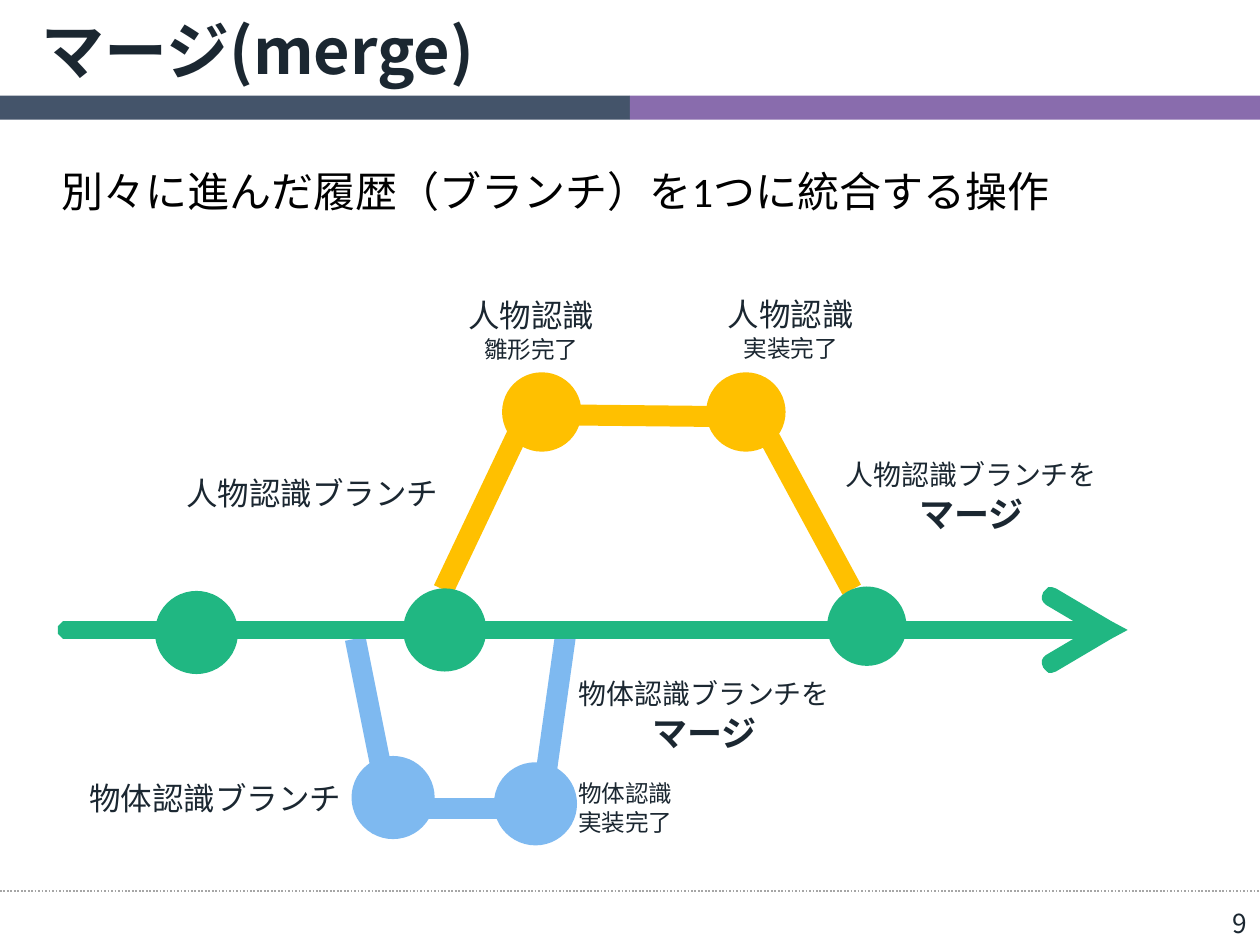
from pptx import Presentation, util as u
from pptx.dml.color import RGBColor
from pptx.enum import dml, shapes, text
from pptx.oxml.ns import qn
from lxml import etree

INK = RGBColor(0x1B, 0x27, 0x31)
BLACK = RGBColor(0, 0, 0)
SLATE = RGBColor(0x44, 0x54, 0x6A)
PURPLE = RGBColor(0x89, 0x6C, 0xAD)
GRAY = RGBColor(0xA6, 0xA6, 0xA6)
GOLD = RGBColor(0xFF, 0xC0, 0x00)
BLUE = RGBColor(0x7E, 0xB9, 0xF0)
GREEN = RGBColor(0x20, 0xB7, 0x82)
FONT = "Noto Sans CJK JP"
WIDE, HIGH = 10, 7.5
LEFT, MID, RIGHT = text.PP_ALIGN.LEFT, text.PP_ALIGN.CENTER, text.PP_ALIGN.RIGHT

TITLE = "マージ(merge)"
LEAD = "別々に進んだ履歴（ブランチ）を1つに統合する操作"
BARS = [SLATE, PURPLE]
PATHS = [
    (GOLD, [(6.05, 3.37), (6.76, 4.68)]),
    (BLUE, [(4.49, 5.03), (4.29, 6.45)]),
    (BLUE, [(2.82, 5.07), (3.1, 6.47)]),
    (GOLD, [(3.52, 4.68), (4.18, 3.29), (6.1, 3.31)]),
    (BLUE, [(3.05, 6.42), (4.42, 6.42)]),
]
AXIS = 5
HALF = [(8.95, 0), (8.82, 0.07), (8.38, 0.33), (8.35, 0.34), (8.32, 0.34),
        (8.3, 0.32), (8.28, 0.3), (8.27, 0.27), (8.27, 0.24), (8.28, 0.22),
        (8.3, 0.2), (8.52, 0.07), (0.53, 0.07), (0.5, 0.07), (0.48, 0.05),
        (0.46, 0.03), (0.46, 0)]
DOTS = [
    (GREEN, 1.56, 5.02, 0.66), (GREEN, 3.53, 5, 0.66), (GREEN, 6.88, 4.97, 0.63),
    (GOLD, 4.3, 3.27, 0.63), (GOLD, 5.92, 3.27, 0.63),
    (BLUE, 3.12, 6.33, 0.66), (BLUE, 4.25, 6.38, 0.66),
]
NOTES = [
    ((0.71, 6.17, 2.31, 0.31), LEFT, [("物体認識ブランチ", 18, False)]),
    ((1.48, 3.75, 2.04, 0.31), LEFT, [("人物認識ブランチ", 18, False)]),
    ((4.59, 6.17, 1.08, 0.48), LEFT,
     [("物体認識", 13.5, False), ("実装完了", 13.5, False)]),
    ((3.52, 2.34, 1.39, 0.55), MID,
     [("人物認識", 18, False), ("雛形完了", 13.5, False)]),
    ((5.58, 2.33, 1.39, 0.55), MID,
     [("人物認識", 18, False), ("実装完了", 13.5, False)]),
    ((6.31, 3.62, 2.8, 0.63), MID,
     [("人物認識ブランチを", 16, False), ("マージ", 20, True)]),
    ((4.19, 5.36, 2.8, 0.63), MID,
     [("物体認識ブランチを", 16, False), ("マージ", 20, True)]),
    ((7.75, 7.19, 2.15, 0.27), RIGHT, [("9", 15, False)]),
]


def inch(*nums):
    return [u.Inches(n) for n in nums]


def paint(shape, hue):
    shape.shadow.inherit = False
    shape.fill.solid()
    shape.fill.fore_color.rgb = hue
    shape.line.fill.background()


def link(tree, start, end, hue, size):
    line = tree.add_connector(shapes.MSO_CONNECTOR.STRAIGHT, *inch(*start, *end))
    line.line.color.rgb = hue
    line.line.width = u.Pt(size)
    etree.SubElement(line._element.spPr, qn("a:effectLst"))
    return line


def write(shape, area, rows, align, pad=0, hue=INK, font=FONT):
    shape.left, shape.top, shape.width, shape.height = inch(*area)
    frame = shape.text_frame
    frame.word_wrap = True
    frame.auto_size = text.MSO_AUTO_SIZE.NONE
    frame.vertical_anchor = text.MSO_ANCHOR.TOP
    frame.margin_left = frame.margin_right = u.Inches(pad)
    frame.margin_top = u.Inches(pad / 2 or 0.01)
    frame.margin_bottom = u.Inches(pad / 2)
    frame.text = "\n".join(row[0] for row in rows)
    for par, (_, size, bold) in zip(frame.paragraphs, rows):
        par.alignment = align
        par.space_before = u.Pt(0 if pad else 0.8)
        run = par.runs[0].font
        run.name, run.size, run.bold = font, u.Pt(size), bold
        run.color.rgb = hue
        east = etree.SubElement(run._element, qn("a:ea"))
        east.set("typeface", FONT)


def main():
    deck = Presentation()
    deck.slide_width, deck.slide_height = inch(WIDE, HIGH)
    page = deck.slides.add_slide(deck.slide_layouts[1])
    tree = page.shapes
    head, body = page.placeholders

    rule = link(tree, (0, 7.07), (WIDE, 7.07), GRAY, 1)
    rule.line.dash_style = dml.MSO_LINE.ROUND_DOT
    span = WIDE / len(BARS)
    for col, hue in enumerate(BARS):
        paint(tree.add_shape(shapes.MSO_SHAPE.RECTANGLE,
                             *inch(col * span, 0.76, span, 0.19)), hue)

    for hue, path in PATHS:
        for start, end in zip(path, path[1:]):
            link(tree, start, end, hue, 12)

    edge = [(x, AXIS - y) for x, y in HALF]
    edge += [(x, AXIS + y) for x, y in HALF[-2:0:-1]]
    pen = tree.build_freeform(*inch(*edge[0]), scale=1.0)
    pen.add_line_segments([inch(*spot) for spot in edge[1:]], close=True)
    paint(pen.convert_to_shape(), GREEN)

    for hue, x, y, size in DOTS:
        area = inch(x - size / 2, y - size / 2, size, size)
        paint(tree.add_shape(shapes.MSO_SHAPE.OVAL, *area), hue)

    for area, align, rows in NOTES:
        write(tree.add_textbox(*inch(*area)), area, rows, align)

    write(head, (0.33, 0.08, 8.58, 0.62), [(TITLE, 36, True)], LEFT)
    write(body, (0.39, 1.26, 8.08, 0.9), [(LEAD, 24, False)], LEFT,
          0.1, BLACK, "Calibri")
    props = body.text_frame.paragraphs[0]._p.get_or_add_pPr()
    props.set("marL", "0")
    props.set("indent", "0")
    etree.SubElement(props, qn("a:buNone"))

    deck.save("out.pptx")


if __name__ == "__main__":
    main()
